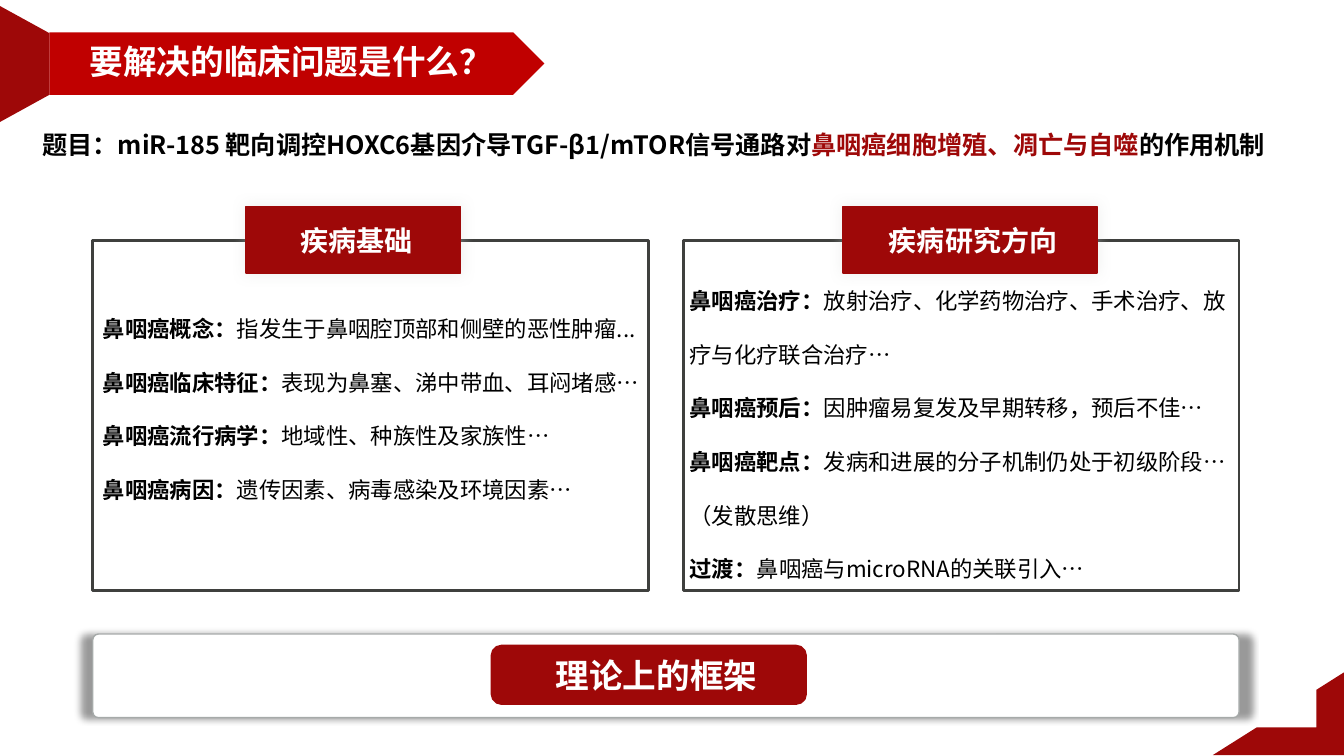
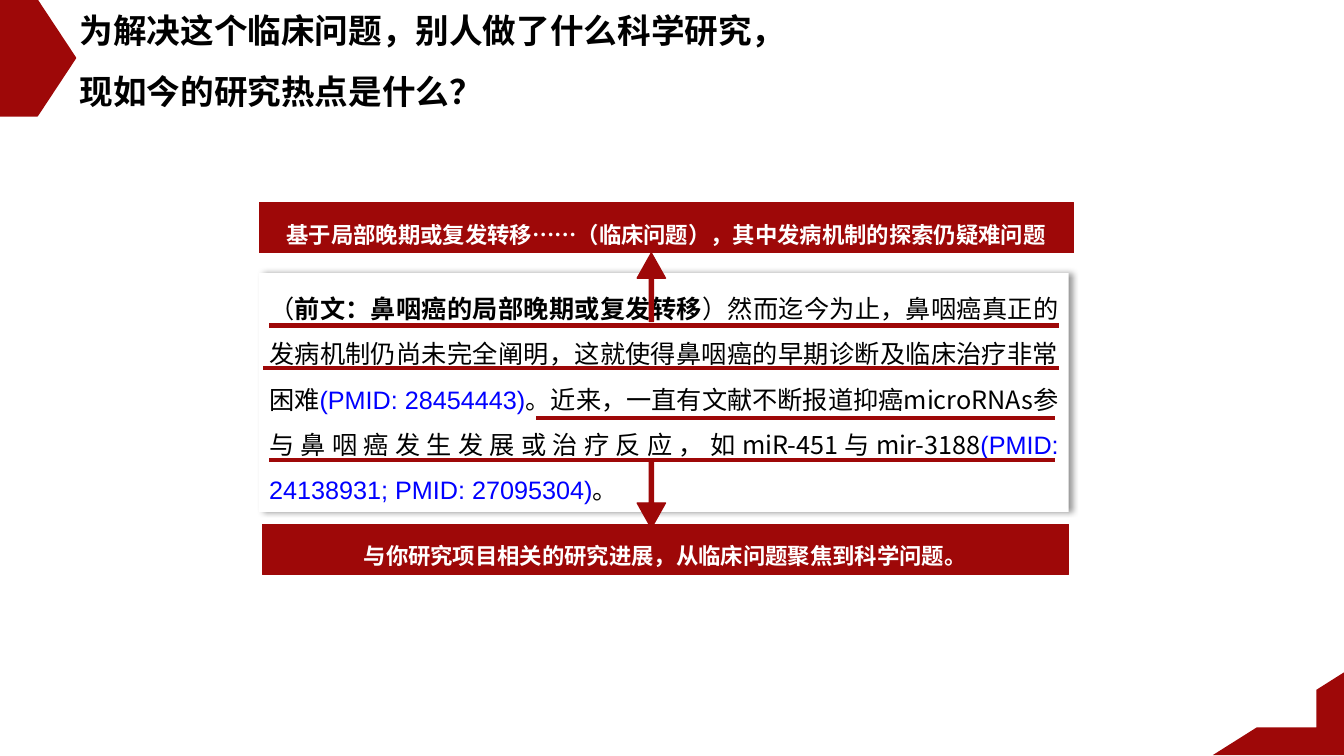
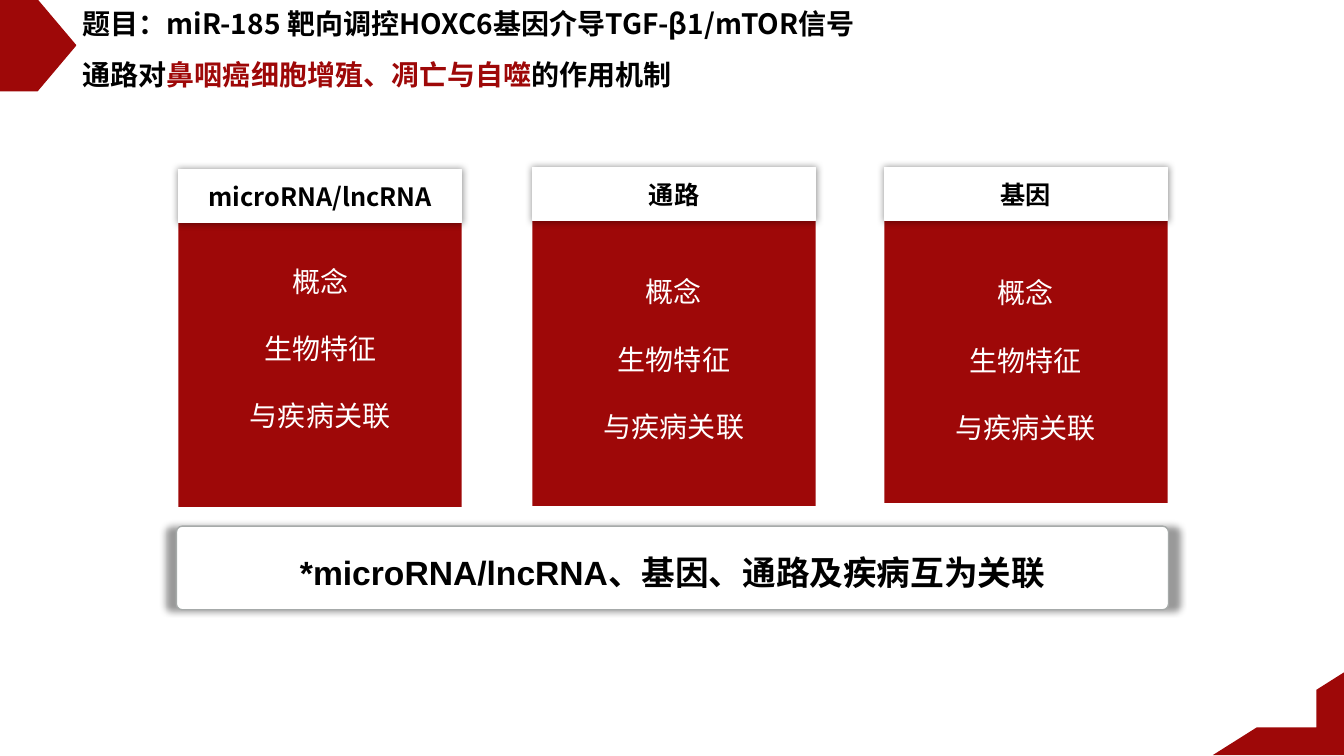
"""Build three slides that frame a clinical research question."""
from lxml.etree import SubElement
from pptx import Presentation
from pptx.dml.color import RGBColor
from pptx.enum.shapes import MSO_CONNECTOR, MSO_SHAPE
from pptx.enum.text import MSO_ANCHOR, MSO_AUTO_SIZE, PP_ALIGN
from pptx.oxml.ns import qn
from pptx.util import Inches, Pt

RED = RGBColor(0x9E, 0x08, 0x08)
BRIGHT = RGBColor(0xC0, 0x00, 0x00)
BLUE = RGBColor(0x00, 0x00, 0xFF)
DARK = RGBColor(0x3F, 0x40, 0x3E)
GREY = RGBColor(0xA6, 0xAA, 0xA9)
PALE = RGBColor(0xD5, 0xD7, 0xD5)
BLACK = RGBColor(0, 0, 0)
WHITE = RGBColor(0xFF, 0xFF, 0xFF)
SANS = "Noto Sans CJK SC"
RECT = MSO_SHAPE.RECTANGLE
ROUND = MSO_SHAPE.ROUNDED_RECTANGLE
PLATE = MSO_SHAPE.PENTAGON
TOP, MIDDLE = MSO_ANCHOR.TOP, MSO_ANCHOR.MIDDLE
LEFT, CENTER = PP_ALIGN.LEFT, PP_ALIGN.CENTER


def put(slide, kind, box, fill=None, line=None, width=1, shadow=None):
    """Add a preset shape; shadow is colour, blur, distance, width scale."""
    shape = slide.shapes.add_shape(kind, *map(Inches, box))
    shape.shadow.inherit = False
    if fill is None:
        shape.fill.background()
    else:
        shape.fill.solid()
        shape.fill.fore_color.rgb = fill
    if line is None:
        shape.line.fill.background()
    else:
        shape.line.color.rgb = line
        shape.line.width = Pt(width)
    if shadow:
        tone, blur, gap, scale = shadow
        effect = shape.element.spPr.find(qn("a:effectLst"))
        outer = SubElement(effect, qn("a:outerShdw"), blurRad=str(Pt(blur)),
                           dist=str(Pt(gap)), dir="0", sx=str(scale * 1000),
                           algn="ctr", rotWithShape="0")
        color = SubElement(outer, qn("a:srgbClr"), val=str(tone))
        SubElement(color, qn("a:alpha"), val="40000")
    return shape


def write(shape, rows, size, color=BLACK, bold=True, face=SANS,
          align=LEFT, pitch=1, anchor=TOP, gap=0):
    """Fill a shape with paragraphs, each a list of runs."""
    frame = shape.text_frame
    frame.word_wrap = True
    frame.auto_size = MSO_AUTO_SIZE.NONE
    frame.vertical_anchor = anchor
    for i, row in enumerate(rows):
        para = frame.add_paragraph() if i else frame.paragraphs[0]
        para.alignment = align
        para.line_spacing = pitch
        para.space_before = Pt(gap if i else 0)
        para.font.size = Pt(size)
        para.font.name = face
        para.font.bold = bold
        para.font.color.rgb = color
        for text in row:
            para.add_run().text = text
    return frame


deck = Presentation()
deck.slide_width, deck.slide_height = Inches(13.33), Inches(7.5)
basis, focus, links = [deck.slides.add_slide(deck.slide_layouts[n])
                       for n in (3, 5, 5)]

titles = [
    (basis, (0.72, 0.41, 4.34, 0.4)),
    (focus, (0.69, -0.15, 8.73, 1.31)),
    (links, (0.72, -0.15, 7.87, 1.11)),
]
for slide, box in titles:
    title = slide.shapes.title
    title.left, title.top, title.width, title.height = map(Inches, box)
    corner = put(slide, MSO_SHAPE.HALF_FRAME, (12.03, 6.67, 1.3, 0.82), RED)
    corner.rotation = 180
for slide, high in [(focus, 1.15), (links, 0.9)]:
    put(slide, PLATE, (-0.01, 0, 0.76, high), RED, RED)
topic = ["题目：miR-185 靶向调控HOXC6基因介导TGF-β1/mTOR信号通路对",
         "鼻咽癌细胞增殖、凋亡与自噬", "的作用机制"]

put(basis, PLATE, (0.49, 0.32, 4.91, 0.62), BRIGHT)
fold = put(basis, MSO_SHAPE.TRAPEZOID, (-0.33, 0.39, 1.15, 0.49), RED)
fold.adjustments[0] = 0.55
fold.rotation = 90
title = basis.shapes.title
title.element.getparent().append(title.element)
frame = write(title, [["要解决的临床问题是什么？"]], 24, WHITE,
              face="Arial", align=CENTER)
frame.margin_left = frame.margin_right = 0
frame.margin_top = frame.margin_bottom = 0
note = basis.shapes.add_textbox(*map(Inches, (0.32, 1.08, 12.57, 0.55)))
frame = write(note, [topic], 18, pitch=1.5)
frame.paragraphs[0].runs[1].font.color.rgb = RED

columns = [
    (0.92, " 疾病基础", (2.44, 2.05, 2.13, 0.66), (0.92, 2.81, 5.63, 2.52), [
        ["鼻咽癌概念：", "指发生于鼻咽腔顶部和侧壁的恶性肿瘤..."],
        ["鼻咽癌临床特征：", "表现为鼻塞、涕中带血、耳闷堵感…"],
        ["鼻咽癌流行病学：", "地域性、种族性及家族性…"],
        ["鼻咽癌病因：", "遗传因素、病毒感染及环境因素…"]]),
    (6.78, " 疾病研究方向", (8.36, 2.05, 2.52, 0.66), (6.74, 2.53, 5.55, 3.33), [
        ["鼻咽癌治疗：", "放射治疗、化学药物治疗、手术治疗、放疗与化疗联合治疗…"],
        ["鼻咽癌预后：", "因肿瘤易复发及早期转移，预后不佳…"],
        ["鼻咽癌靶点：", "发病和进展的分子机制仍处于初级阶段…（发散思维）"],
        ["过渡：", "鼻咽癌与microRNA的关联引入…"]]),
]
for spot, (left, head, tab, box, rows) in enumerate(columns, 1):
    put(basis, RECT, (left, 2.39, 5.51, 3.47), line=DARK, width=2)
    label = put(basis, RECT, tab, RED, RED, shadow=(PALE, 10, 0, 100))
    write(label, [[head]], 20, WHITE, align=CENTER, anchor=MIDDLE)
    body = basis.placeholders[spot]
    body.left, body.top, body.width, body.height = map(Inches, box)
    frame = write(body, rows, 16, pitch=2)
    for para in frame.paragraphs:
        para.runs[1].font.bold = False
    for props in body.element.iter(qn("a:pPr")):
        props.set("marL", "0")
        props.set("indent", "0")
        mark = SubElement(props, qn("a:buNone"))
        props.find(qn("a:defRPr")).addprevious(mark)

panel = put(basis, ROUND, (0.92, 6.29, 11.37, 0.83), WHITE, GREY,
            shadow=(BLACK, 5, 0, 102))
panel.adjustments[0] = 0.07
button = put(basis, ROUND, (4.88, 6.41, 3.11, 0.57), RED, RED, 2)
frame = write(button, [["理论上的框架"]], 24, WHITE, align=CENTER,
              anchor=MIDDLE)
frame.margin_left = Inches(0.25)

write(focus.shapes.title, [["为解决这个临床问题，别人做了什么科学研究，"],
                           ["现如今的研究热点是什么？"]],
      24, face="Arial", pitch=1.5)
quote = put(focus, RECT, (2.57, 2.71, 8.03, 2.37), WHITE,
            shadow=(BLACK, 4, 3, 100))
frame = write(quote, [[
    "（", "前文：鼻咽癌的局部晚期或复发转移",
    "）然而迄今为止，鼻咽癌真正的发病机制仍尚未完全阐明，"
    "这就使得鼻咽癌的早期诊断及临床治疗非常困难",
    "(PMID: 28454443)",
    "。近来，一直有文献不断报道抑癌microRNAs参与鼻咽癌发生发展或治疗反应，"
    "如miR-451与mir-3188",
    "(PMID: 24138931; PMID: 27095304)", "。"]],
    18, bold=False, align=PP_ALIGN.JUSTIFY, pitch=1.5)
runs = frame.paragraphs[0].runs
runs[1].font.bold = True
for cite in (runs[3], runs[5]):
    cite.font.name = "Arial"
    cite.font.color.rgb = BLUE

for start, end, y in [(2.67, 10.5, 3.23), (2.61, 10.5, 3.65),
                      (5.32, 10.46, 4.15), (2.67, 10.46, 4.56)]:
    rule = focus.shapes.add_connector(
        MSO_CONNECTOR.STRAIGHT, Inches(start), Inches(y), Inches(end), Inches(y))
    rule.line.color.rgb = RED
    rule.line.width = Pt(3)
    SubElement(rule.element.spPr, qn("a:effectLst"))

bars = [
    ((2.57, 2.01, 8.08, 0.5), 2.51, 1,
     "基于局部晚期或复发转移……（临床问题），其中发病机制的探索仍疑难问题"),
    ((2.6, 5.2, 8, 0.5), 5.24, -1,
     "与你研究项目相关的研究进展，从临床问题聚焦到科学问题。"),
]
outline = [(0.14, 0.25), (0.02, 0.25), (0.02, 0.68),
           (-0.02, 0.68), (-0.02, 0.25), (-0.14, 0.25)]
for box, tip, way, text in bars:
    pen = focus.shapes.build_freeform(Inches(6.46), Inches(tip))
    pen.add_line_segments([(Inches(6.46 + x), Inches(tip + way * y))
                           for x, y in outline])
    arrow = pen.convert_to_shape()
    arrow.shadow.inherit = False
    arrow.fill.solid()
    arrow.fill.fore_color.rgb = RED
    arrow.line.color.rgb = RED
    arrow.line.width = Pt(1)
    bar = put(focus, RECT, box, RED, RED, 0.75)
    write(bar, [[text]], 16, WHITE, align=CENTER, pitch=1.5)

frame = write(links.shapes.title, [topic], 20, pitch=1.5)
frame.paragraphs[0].runs[1].font.color.rgb = RED
cards = [
    ("microRNA/lncRNA", 1.77, 1.68, 2.21, 2.82, 0.38),
    ("通路", 5.28, 1.66, 2.1, 2.92, 0.05),
    ("基因", 8.77, 1.66, 2.15, 2.84, 0.05),
]
for head, left, top, start, high, inset in cards:
    card = put(links, RECT, (left, start, 2.81, high), RED)
    frame = write(card, [["概念"], ["生物特征"], ["与疾病关联"]], 20, WHITE,
                  bold=False, align=CENTER, anchor=MIDDLE, gap=24)
    frame.margin_bottom = Inches(inset)
    label = put(links, RECT, (left, top, 2.81, 0.53), WHITE, WHITE,
                shadow=(BLACK, 5, 0, 100))
    write(label, [[head]], 18, align=CENTER, anchor=MIDDLE)
panel = put(links, ROUND, (1.75, 5.22, 9.84, 0.83), WHITE, GREY,
            shadow=(BLACK, 5, 0, 102))
panel.adjustments[0] = 0.07
write(panel, [["*microRNA/lncRNA、基因、通路及疾病互为关联"]], 24,
      face="Arial", align=CENTER, pitch=1.2, anchor=MIDDLE)

for slide in deck.slides:
    for props in slide.element.iter(qn("a:defRPr")):
        SubElement(props, qn("a:ea"), typeface=SANS)
deck.save("out.pptx")
